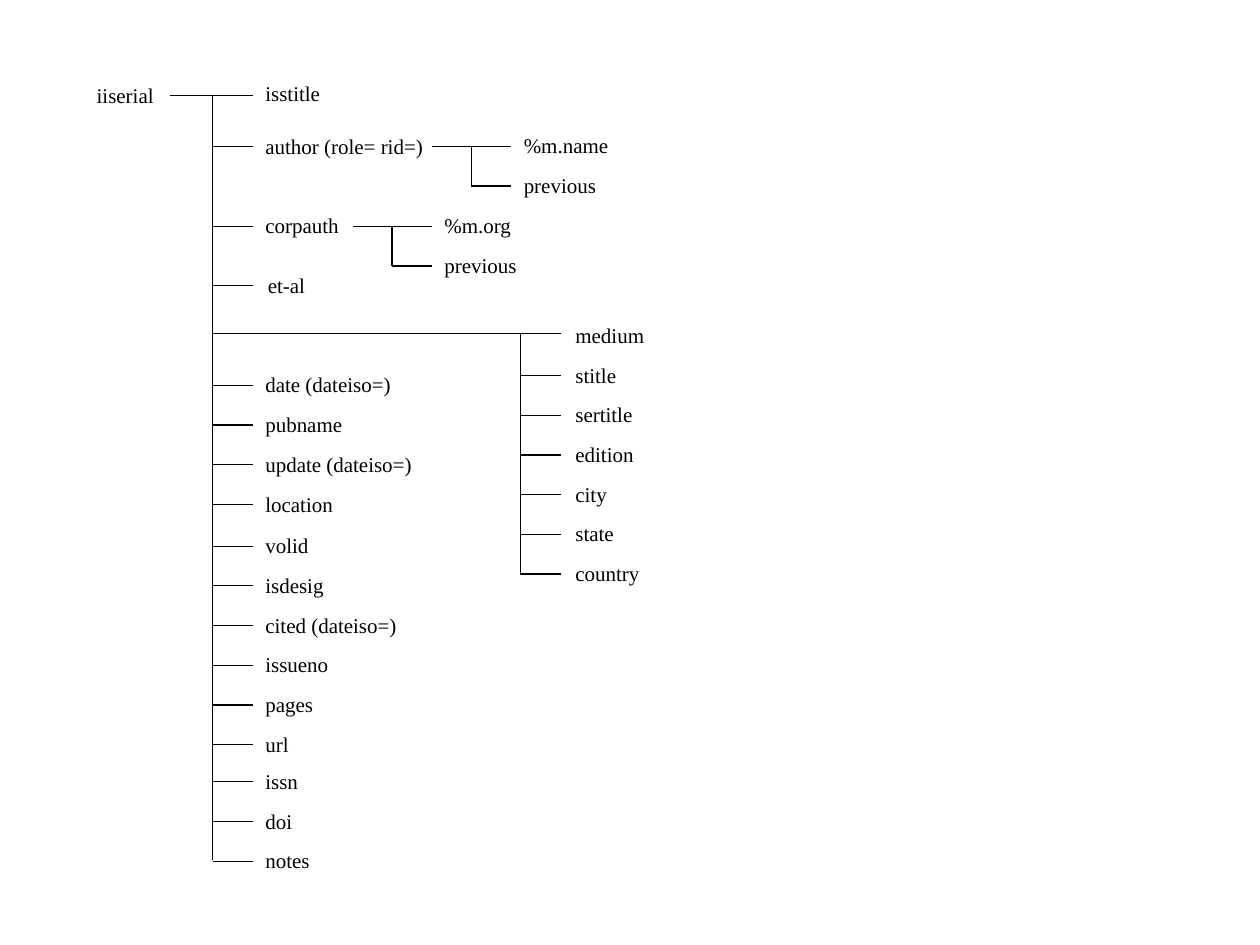
from dataclasses import dataclass

from lxml.etree import SubElement
from pptx import Presentation
from pptx.dml.color import RGBColor
from pptx.enum.shapes import MSO_CONNECTOR
from pptx.enum.text import MSO_AUTO_SIZE
from pptx.oxml.ns import qn
from pptx.util import Cm, Pt


@dataclass(frozen=True)
class Theme:
    """Hold the colours, type and line sizes."""
    ink: RGBColor = RGBColor(0, 0, 0)
    paper: RGBColor = RGBColor(255, 255, 255)
    face: str = "Times New Roman"
    size: Pt = Pt(12)
    rule: Pt = Pt(0.75)


THEME = Theme()
FONT = {"name": THEME.face, "size": THEME.size}
FRAME = {"word_wrap": True, "auto_size": MSO_AUTO_SIZE.SHAPE_TO_FIT_TEXT,
         "margin_left": Cm(0.25), "margin_right": Cm(0.25),
         "margin_top": Cm(0.13), "margin_bottom": Cm(0.13)}
PITCH, STUB, TALL, MID = 0.8, 0.81, 0.76, 0.4


def style(item, values):
    """Set each named value on the item."""
    for name, value in values.items():
        setattr(item, name, value)


def label(slide, left, top, width, text):
    """Place one line of text."""
    box = slide.shapes.add_textbox(Cm(left), Cm(top), Cm(width), Cm(TALL))
    style(box.text_frame, FRAME)
    part = box.text_frame.paragraphs[0]
    part.text = text
    style(part.font, FONT)
    part.font.color.rgb = THEME.ink


def line(slide, *ends):
    """Draw a straight line from x, y to x, y."""
    rule = slide.shapes.add_connector(MSO_CONNECTOR.STRAIGHT, *map(Cm, ends))
    rule.line.color.rgb = THEME.ink
    rule.line.width = THEME.rule
    SubElement(rule._element.spPr, qn("a:effectLst"))


def branch(slide, box, runs):
    """Draw a lead, a stem and evenly spaced runs of twigs in the box."""
    left, top, lead, tall = box
    stem = left + lead
    line(slide, left, top, stem, top)
    line(slide, stem, top, stem, top + tall)
    for shift, drop, width, names in runs:
        for row, name in enumerate(names):
            high = top + drop + row * PITCH
            tick = max(top, high + MID) if high > top else top
            line(slide, stem, tick, stem + STUB, tick)
            label(slide, stem + STUB + shift, high, width, name)


def tree(slide, left, top):
    """Draw the root, its elements and their nested branches."""
    label(slide, left, top - MID, 2.01, "iiserial")
    branch(slide, (left + 1.73, top, 0.86, 15.4), [
        (0, -0.43, 2.21, ["isstitle"]),
        (0, 0.63, 3.81, ["author (role= rid=)"]),
        (0, 2.23, 2.01, ["corpauth"]),
        (0.05, 3.43, 2.01, ["et-al"]),
        (0, 5.44, 3.81, ["date (dateiso=)", "pubname",
                         "update (dateiso=)", "location"]),
        (0, 8.68, 3.81, ["volid", "isdesig", "cited (dateiso=)",
                         "issueno", "pages", "url"]),
        (0, 13.43, 3.81, ["issn", "doi", "notes"]),
    ])
    branch(slide, (left + 7.01, top + 1.02, 0.79, PITCH), [
        (0, -MID, 2.41, ["%m.name"]),
        (0, PITCH - MID, 2.41, ["previous"]),
    ])
    branch(slide, (left + 5.41, top + 2.63, 0.79, PITCH), [
        (0, -MID, 2.01, ["%m.org"]),
        (0, PITCH - MID, 2.41, ["previous"]),
    ])
    branch(slide, (left + 2.59, top + 4.8, 6.2, 4.82), [
        (0.05, -0.36, 2.01, ["medium", "stitle", "sertitle", "edition",
                             "city", "state", "country"]),
    ])


def main():
    """Build and save the slide."""
    deck = Presentation()
    style(deck, {"slide_width": Cm(25.4), "slide_height": Cm(19.05)})
    slide = deck.slides.add_slide(deck.slide_layouts[6])
    slide.background.fill.solid()
    slide.background.fill.fore_color.rgb = THEME.paper
    tree(slide, 1.7, 1.93)
    deck.save("out.pptx")


if __name__ == "__main__":
    main()
